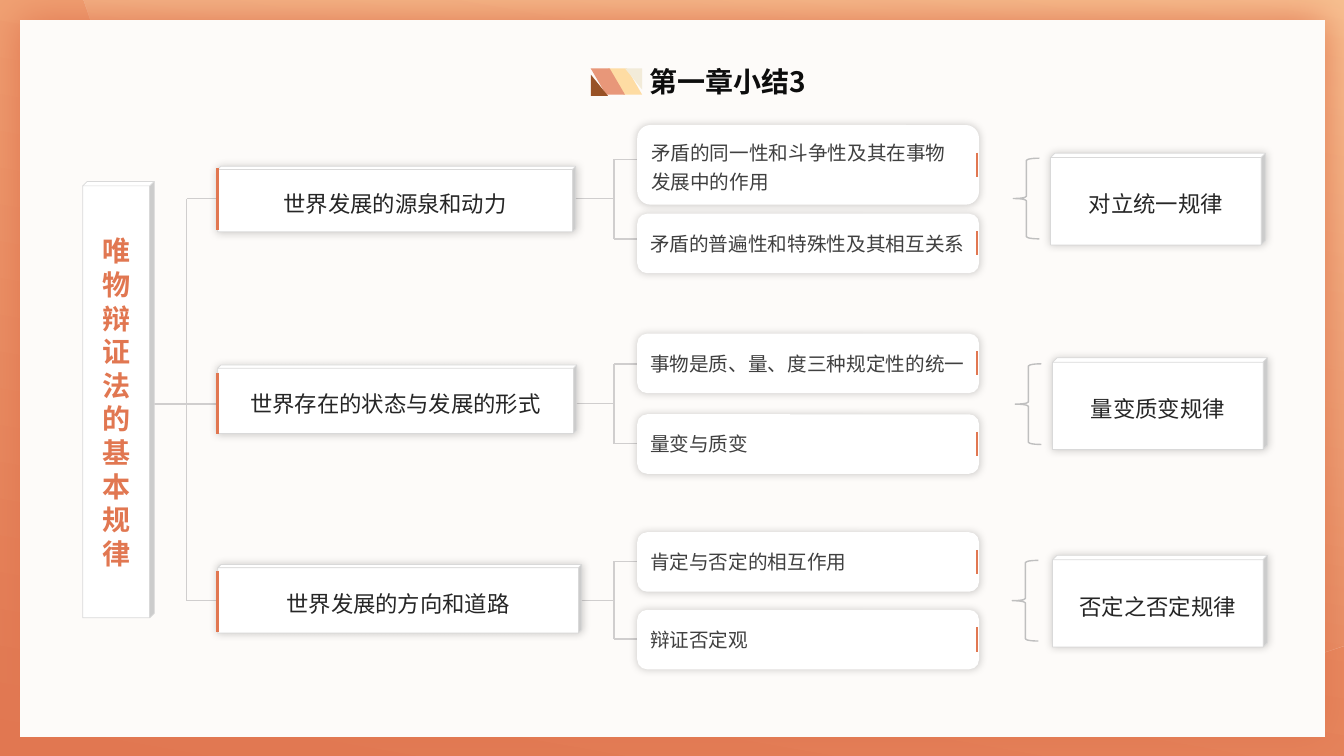
from lxml import etree
from pptx import Presentation
from pptx.dml.color import RGBColor
from pptx.enum.shapes import MSO_CONNECTOR, MSO_SHAPE
from pptx.enum.text import MSO_ANCHOR, PP_ALIGN
from pptx.oxml import parse_xml
from pptx.oxml.ns import nsdecls, qn
from pptx.util import Inches, Pt

FONT = "Noto Sans CJK SC"
COLORS = {
    "accent": "E17751", "peach": "F4AD7D", "sand": "FDD5A6", "paper": "FDFBF9",
    "white": "FFFFFF", "black": "000000", "title": "0D0D0D", "heading": "262626",
    "body": "404040", "edge": "D9D9D9", "link": "D0CECE", "brace": "BFBFBF",
    "yellow": "FEDCA3", "cream": "F2EBD9", "salmon": "E89779", "brown": "985125",
}
TRUNK_X, TOPIC_X, FORK_X, CARD_X, CARD_W = 1.85, 2.16, 6.09, 6.32, 3.39

# Boxes are left, top, width, height; each card is top, height, link y, lines.
BRANCHES = [
    dict(y=1.97, topic="世界发展的源泉和动力", topic_box=(TOPIC_X, 1.65, 3.55, 0.65), bar_y=1.67,
         cards=[(1.24, 0.79, 1.58, ["矛盾的同一性和斗争性及其在事物", "发展中的作用"]),
                (2.12, 0.59, 2.37, ["矛盾的普遍性和特殊性及其相互关系"])],
         brace=(10.05, 1.57), law="对立统一规律", law_at=(10.42, 1.52)),
    dict(y=4, topic="世界存在的状态与发展的形式", topic_box=(TOPIC_X, 3.62, 3.56, 0.68), bar_y=3.7,
         cards=[(3.31, 0.59, 3.61, ["事物是质、量、度三种规定性的统一"]),
                (4.11, 0.59, 4.4, ["量变与质变"])],
         brace=(10.07, 3.61), law="量变质变规律", law_at=(10.44, 3.55)),
    dict(y=5.96, topic="世界发展的方向和道路", topic_box=(TOPIC_X, 5.6, 3.61, 0.68), bar_y=5.66,
         cards=[(5.28, 0.59, 5.57, ["肯定与否定的相互作用"]),
                (6.05, 0.59, 6.34, ["辩证否定观"])],
         brace=(10.04, 5.56), law="否定之否定规律", law_at=(10.44, 5.51)),
]


def rgb(name):
    return RGBColor.from_string(COLORS[name])


def add_shadow(shape, color, alpha, blur, angle):
    effects = shape._element.spPr.find(qn("a:effectLst"))
    effects.append(parse_xml(
        f'<a:outerShdw {nsdecls("a")} blurRad="{Pt(blur)}" dist="0" dir="{angle * 60000}" '
        f'algn="ctr" rotWithShape="0"><a:srgbClr val="{COLORS[color]}">'
        f'<a:alpha val="{alpha * 1000}"/></a:srgbClr></a:outerShdw>'))


def style(shape, fill=None, line=None, width=0.5):
    shape.shadow.inherit = False
    if fill:
        shape.fill.solid()
        shape.fill.fore_color.rgb = rgb(fill)
    else:
        shape.fill.background()
    if line:
        shape.line.color.rgb = rgb(line)
        shape.line.width = Pt(width)
    else:
        shape.line.fill.background()


def add_box(slide, kind, box, fill=None, line=None, width=0.5, adj=None, flip=""):
    shape = slide.shapes.add_shape(kind, *map(Inches, box))
    style(shape, fill, line, width)
    if adj is not None:
        shape.adjustments[0] = adj
    for axis in flip:
        shape._element.spPr.xfrm.set(f"flip{axis}", "1")
    return shape


def add_line(slide, x1, y1, x2, y2, color="link", width=1):
    line = slide.shapes.add_connector(MSO_CONNECTOR.STRAIGHT, *map(Inches, (x1, y1, x2, y2)))
    line.line.color.rgb = rgb(color)
    line.line.width = Pt(width)
    etree.SubElement(line._element.spPr, qn("a:effectLst"))


def write(shape, lines, size, color, bold=False, align=PP_ALIGN.CENTER, spacing=None):
    frame = shape.text_frame
    frame.word_wrap = True
    frame.vertical_anchor = MSO_ANCHOR.MIDDLE
    for index, text in enumerate(lines):
        paragraph = frame.add_paragraph() if index else frame.paragraphs[0]
        paragraph.alignment = align
        if spacing:
            paragraph.line_spacing = spacing
        run = paragraph.add_run()
        run.text = text
        run.font.name, run.font.size, run.font.bold = FONT, Pt(size), bold
        run.font.color.rgb = rgb(color)
        etree.SubElement(run._r.get_or_add_rPr(), qn("a:ea")).set("typeface", FONT)


def add_gradient(shape, end, alpha=100):
    """Fade the accent colour upwards into the end colour."""
    shape.fill.gradient()
    shape.fill.gradient_angle = 80
    stops = shape.fill.gradient_stops
    for stop, color, position in zip(stops, ("accent", end), (0, 1)):
        stop.color.rgb = rgb(color)
        stop.position = position
    last = shape._element.spPr.findall(".//" + qn("a:srgbClr"))[-1]
    etree.SubElement(last, qn("a:alpha")).set("val", str(alpha * 1000))


def bezier(p0, p1, p2, p3, steps=16):
    for step in range(1, steps + 1):
        t = step / steps
        weights = ((1 - t) ** 3, 3 * t * (1 - t) ** 2, 3 * t * t * (1 - t), t ** 3)
        yield tuple(sum(w * p[axis] for w, p in zip(weights, (p0, p1, p2, p3)))
                    for axis in (0, 1))


def draw_background(slide, width, height):
    back = add_box(slide, MSO_SHAPE.RECTANGLE, (0, 0, width, height), "accent")
    add_gradient(back, "peach")
    points = [(width, 0), (width, 6.4), (13.15, 6.46),
              *bezier((13.15, 6.46), (12.22, 6.75), (11.24, 6.9), (10.22, 6.9)),
              *bezier((10.22, 6.9), (5.97, 6.9), (2.36, 4.21), (0.98, 0.44))]
    builder = slide.shapes.build_freeform(Inches(0.83), 0, scale=1.0)
    builder.add_line_segments([(Inches(x), Inches(y)) for x, y in points], close=True)
    glow = builder.convert_to_shape()
    style(glow, "accent")
    add_gradient(glow, "sand", 50)
    page = add_box(slide, MSO_SHAPE.RECTANGLE, (0.2, 0.2, 12.94, 7.11), "paper")
    add_shadow(page, "accent", 100, 30, 0)


def draw_title(slide, left, top):
    title = slide.shapes.add_textbox(*map(Inches, (left + 0.48, top - 0.09, 2.35, 0.44)))
    write(title, ["第一章小结3"], 20, "title", True, PP_ALIGN.LEFT)
    slant, corner = MSO_SHAPE.PARALLELOGRAM, MSO_SHAPE.RIGHT_TRIANGLE
    add_box(slide, slant, (left + 0.17, top, 0.34, 0.26), "yellow", adj=0.585, flip="H")
    add_box(slide, corner, (left + 0.34, top, 0.17, 0.21), "cream", flip="HV")
    add_box(slide, slant, (left, top, 0.34, 0.26), "salmon", adj=0.585, flip="H")
    add_box(slide, corner, (left, top + 0.06, 0.17, 0.21), "brown")


def draw_trunk(slide, box):
    first, last = BRANCHES[0]["y"], BRANCHES[-1]["y"]
    for y in (first, last):
        add_line(slide, TOPIC_X, y, TRUNK_X, y)
    add_line(slide, TRUNK_X, first, TRUNK_X, last)
    add_line(slide, 2.43, 4.01, 1.44, 4.01)
    root = add_box(slide, MSO_SHAPE.CUBE, box, "white", "edge", adj=0.063)
    write(root, "唯物辩证法的基本规律", 20, "accent", True)


def draw_block(slide, box, text):
    block = add_box(slide, MSO_SHAPE.CUBE, box, "white", "edge", adj=0.048)
    add_shadow(block, "black", 20, 6, 315)
    write(block, [text], 16, "heading", spacing=1.2)


def draw_card(slide, box, lines):
    left, top, width, height = box
    card = add_box(slide, MSO_SHAPE.ROUNDED_RECTANGLE, box, "white")
    add_shadow(card, "black", 20, 6, 315)
    write(card, lines, 14, "body", align=PP_ALIGN.LEFT, spacing=1.2 if len(lines) > 1 else None)
    bar_x, middle = left + width - 0.02, top + height / 2
    add_line(slide, bar_x, middle - 0.12, bar_x, middle + 0.12, "accent", 2)


def draw_branch(slide, branch):
    """Draw one row: topic, fork, cards, brace and law."""
    y, cards = branch["y"], branch["cards"]
    add_box(slide, MSO_SHAPE.LEFT_BRACE, (*branch["brace"], 0.26, 0.8), line="brace", width=1)
    draw_block(slide, (*branch["law_at"], 2.13, 0.91), branch["law"])
    add_line(slide, FORK_X, cards[0][2], FORK_X, cards[-1][2])
    add_line(slide, FORK_X, y, 5.21, y)
    for top, height, link_y, lines in cards:
        add_line(slide, CARD_X + 0.08, link_y, FORK_X, link_y)
        draw_card(slide, (CARD_X, top, CARD_W, height), lines)
    draw_block(slide, branch["topic_box"], branch["topic"])
    add_line(slide, TOPIC_X, branch["bar_y"], TOPIC_X, branch["bar_y"] + 0.61, "accent", 2)


def main():
    deck = Presentation()
    deck.slide_width, deck.slide_height = Inches(13.33), Inches(7.5)
    slide = deck.slides.add_slide(deck.slide_layouts[6])
    draw_background(slide, 13.33, 7.5)
    draw_title(slide, 5.86, 0.68)
    draw_trunk(slide, (0.82, 1.8, 0.71, 4.33))
    for branch in BRANCHES:
        draw_branch(slide, branch)
    deck.save("out.pptx")


if __name__ == "__main__":
    main()
